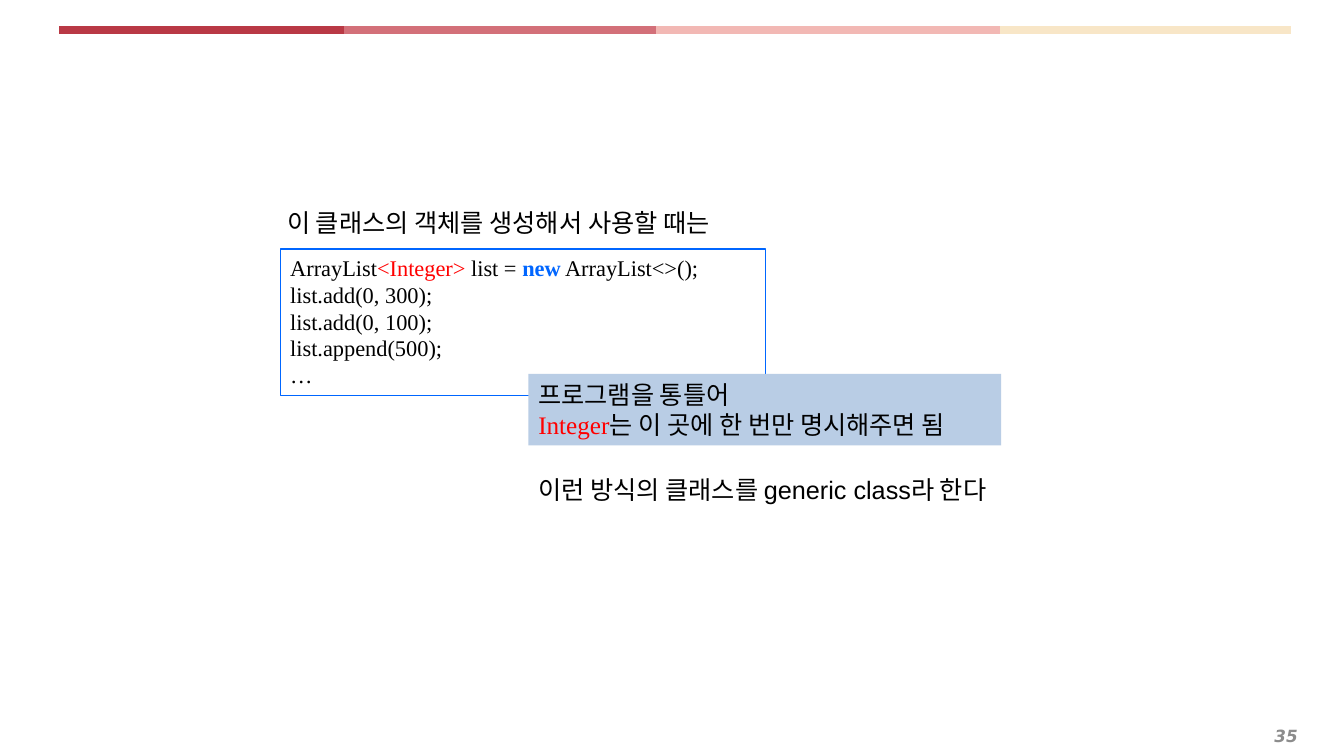
from pptx import Presentation
from pptx.dml.color import RGBColor
from pptx.enum.shapes import MSO_CONNECTOR, MSO_SHAPE
from pptx.enum.text import MSO_ANCHOR, PP_ALIGN
from pptx.oxml.ns import qn
from pptx.util import Inches, Pt

STRAIGHT = MSO_CONNECTOR.STRAIGHT
RECTANGLE = MSO_SHAPE.RECTANGLE
TOP, MIDDLE = MSO_ANCHOR.TOP, MSO_ANCHOR.MIDDLE
LEFT, RIGHT = PP_ALIGN.LEFT, PP_ALIGN.RIGHT

COLORS = {
    "black": "000000",
    "red": "FF0000",
    "blue": "0066FF",
    "callout": "B9CDE5",
    "number": "8C8C8C",
    "crimson": "B93945",
    "rose": "D37079",
    "pink": "F2B8B4",
    "cream": "F8E6C7",
}
SERIF = "Times New Roman"


def rgb(name):
    return RGBColor.from_string(COLORS[name])


def write(frame, paragraphs, size=18, font="Arial", color="black", bold=False,
          italic=False, align=LEFT, anchor=TOP):
    frame.word_wrap = True
    frame.vertical_anchor = anchor
    for index, pieces in enumerate(paragraphs):
        paragraph = frame.add_paragraph() if index else frame.paragraphs[0]
        paragraph.alignment = align
        for text, changes in pieces:
            style = {"font": font, "color": color, "bold": bold, **changes}
            run = paragraph.add_run()
            run.text = text
            run.font.size = Pt(size)
            run.font.name = style["font"]
            run.font.bold = style["bold"]
            run.font.italic = italic
            run.font.color.rgb = rgb(style["color"])


def add_label(slide, box, text, **style):
    label = slide.shapes.add_textbox(*map(Inches, box))
    write(label.text_frame, [[(text, {})]], **style)


def add_panel(slide, box, paragraphs, fill=None, outline=None, **style):
    panel = slide.shapes.add_shape(RECTANGLE, *map(Inches, box))
    panel.shadow.inherit = False
    if fill:
        panel.fill.solid()
        panel.fill.fore_color.rgb = rgb(fill)
    else:
        panel.fill.background()
    if outline:
        panel.line.color.rgb = rgb(outline)
        panel.line.width = Pt(0.75)
    else:
        panel.line.fill.background()
    write(panel.text_frame, paragraphs, **style)


def add_top_band(slide, left, top, bands):
    for color, width in bands:
        right = left + width
        band = slide.shapes.add_connector(
            STRAIGHT, Inches(left), Inches(top), Inches(right), Inches(top))
        band.line.color.rgb = rgb(color)
        band.line.width = Pt(6)
        properties = band._element.spPr
        properties.append(properties.makeelement(qn("a:effectLst"), {}))
        left = right


def add_usage_example(slide, left, top, width):
    add_label(slide, (left - 0.03, top, width + 0.03, 0.4),
              "이 클래스의 객체를 생성해서 사용할 때는")
    code = [
        [("ArrayList", {}), ("<Integer>", {"color": "red"}), (" list = ", {}),
         ("new", {"color": "blue", "bold": True}), (" ArrayList<>();", {})],
        [("list.add(0, 300);", {})],
        [("list.add(0, 100);", {})],
        [("list.append(500);", {})],
        [("…", {})],
    ]
    add_panel(slide, (left, top + 0.46, width, 1.45), code,
              outline="blue", size=16, font=SERIF)


def add_explanation(slide, left, top, width):
    callout = [
        [("프로그램을 통틀어", {})],
        [("Integer", {"font": SERIF, "color": "red"}),
         ("는 이 곳에 한 번만 명시해주면 됨", {})],
    ]
    add_panel(slide, (left, top, width, 0.71), callout, fill="callout")
    add_label(slide, (left, top + 0.95, width + 0.29, 0.4),
              "이런 방식의 클래스를 generic class라 한다")


def main():
    deck = Presentation()
    deck.slide_width, deck.slide_height = Inches(13.33), Inches(7.5)
    slide = deck.slides.add_slide(deck.slide_layouts[6])
    add_label(slide, (0.2, 7.14, 12.77, 0.31), "35", size=12,
              font="DejaVu Sans", color="number", bold=True, italic=True,
              align=RIGHT, anchor=MIDDLE)
    add_top_band(slide, 0.59, 0.3, [("crimson", 2.82), ("rose", 3.1),
                                    ("pink", 3.41), ("cream", 2.88)])
    add_usage_example(slide, 2.78, 2.01, 4.81)
    add_explanation(slide, 5.24, 3.71, 4.69)
    deck.save("out.pptx")


if __name__ == "__main__":
    main()
